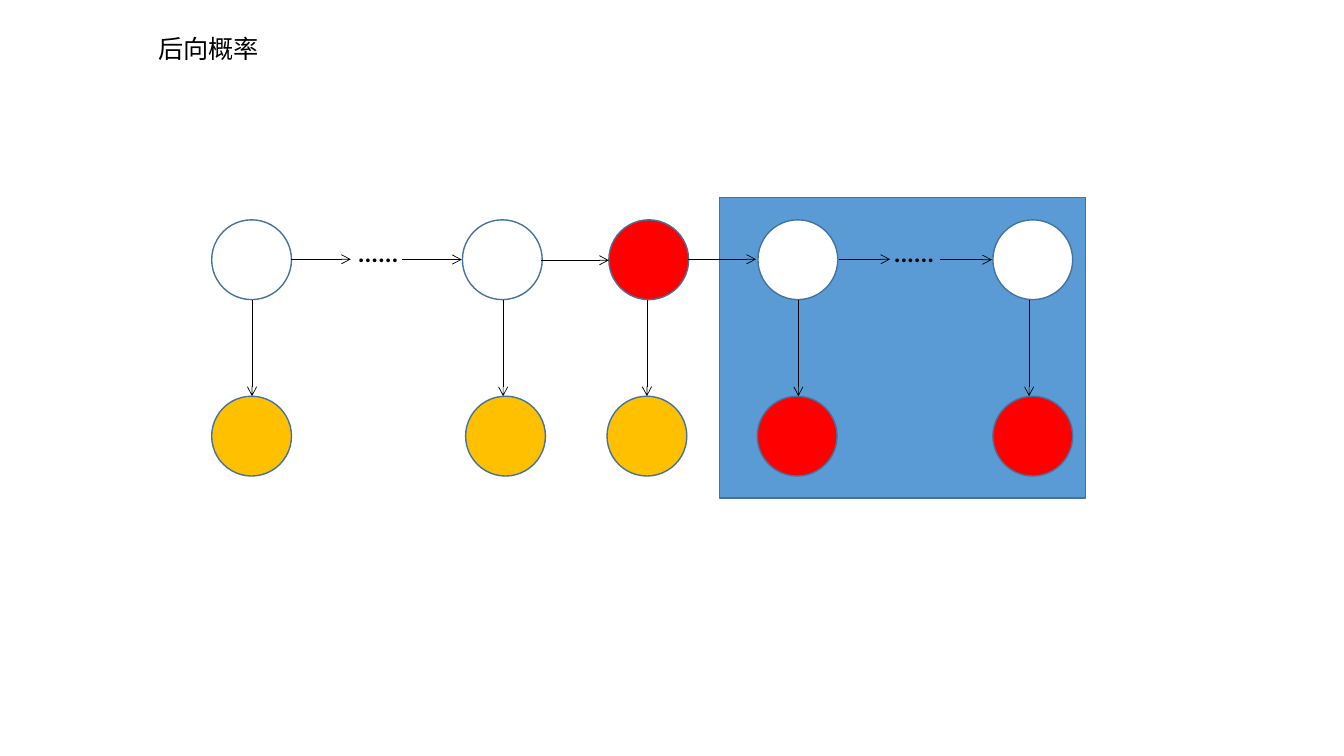
from lxml import etree
from pptx import Presentation
from pptx.dml.color import RGBColor
from pptx.enum.shapes import MSO_CONNECTOR as Connector, MSO_SHAPE as Shape
from pptx.enum.text import MSO_AUTO_SIZE as AutoSize
from pptx.oxml.ns import qn
from pptx.util import Pt

COLORS = {"blue": "5B9BD5", "edge": "43739E", "red": "FF0000",
          "white": "FFFFFF", "orange": "FFC000", "black": "000000"}
FONT = "Calibri"

# state left, state colour, observation left, observation colour, arrow x
COLUMNS = [
    (151.2, "white", 151.2, "orange", 180),
    (330.3, "white", 332.6, "orange", 359.4),
    (434.9, "red", 433.6, "orange", 462.1),
    (541.4, "white", 540.9, "red", 570.3),
    (709.2, "white", 709.2, "red", 735.1),
]
# start x, end x, y
TRANSITIONS = [
    (208.1, 250.6, 185.2), (287.2, 329.8, 185.4), (386.8, 434.9, 185.9),
    (491.8, 540, 185.2), (599, 635.8, 185.2), (671.8, 708.5, 185.5),
]
# text, left, top, width, bold
LABELS = [
    ("......", 248.6, 165.6, 54, True),
    ("......", 631.4, 165.6, 56, True),
    ("后向概率", 105.8, 20.2, 231, False),
]
FUTURE_PANEL = (514.1, 141.1, 261.4, 214.6)
DIAMETER = 57
STATE_TOP, OBSERVATION_TOP = 157, 283
LABEL_HEIGHT = 29

deck = Presentation()
deck.slide_width, deck.slide_height = Pt(960), Pt(540)
page = deck.slides.add_slide(deck.slide_layouts[6])


def color(name):
    return RGBColor.from_string(COLORS[name])


def add_filled(kind, left, top, width, height, fill):
    shape = page.shapes.add_shape(kind, Pt(left), Pt(top), Pt(width), Pt(height))
    shape.shadow.inherit = False
    shape.fill.solid()
    shape.fill.fore_color.rgb = color(fill)
    shape.line.color.rgb = color("edge")
    shape.line.width = Pt(1)


def add_node(left, top, fill):
    add_filled(Shape.OVAL, left, top, DIAMETER, DIAMETER, fill)


def add_arrow(x1, y1, x2, y2):
    arrow = page.shapes.add_connector(Connector.STRAIGHT, Pt(x1), Pt(y1), Pt(x2), Pt(y2))
    arrow.line.color.rgb = color("black")
    arrow.line.width = Pt(0.5)
    etree.SubElement(arrow.line._get_or_add_ln(), qn("a:tailEnd"), type="arrow")
    etree.SubElement(arrow._element.spPr, qn("a:effectLst"))


def add_label(text, left, top, width, bold):
    box = page.shapes.add_textbox(Pt(left), Pt(top), Pt(width), Pt(LABEL_HEIGHT))
    frame = box.text_frame
    frame.word_wrap = True
    frame.auto_size = AutoSize.SHAPE_TO_FIT_TEXT
    span = frame.paragraphs[0].add_run()
    span.text = text
    span.font.name = FONT
    span.font.size = Pt(18)
    span.font.bold = bold
    span.font.color.rgb = color("black")


add_filled(Shape.RECTANGLE, *FUTURE_PANEL, "blue")
for state_left, state_fill, observation_left, observation_fill, arrow_x in COLUMNS:
    add_node(state_left, STATE_TOP, state_fill)
    add_node(observation_left, OBSERVATION_TOP, observation_fill)
    add_arrow(arrow_x, STATE_TOP + DIAMETER, arrow_x, OBSERVATION_TOP)
for start, end, y in TRANSITIONS:
    add_arrow(start, y, end, y)
for label in LABELS:
    add_label(*label)

deck.save("out.pptx")
